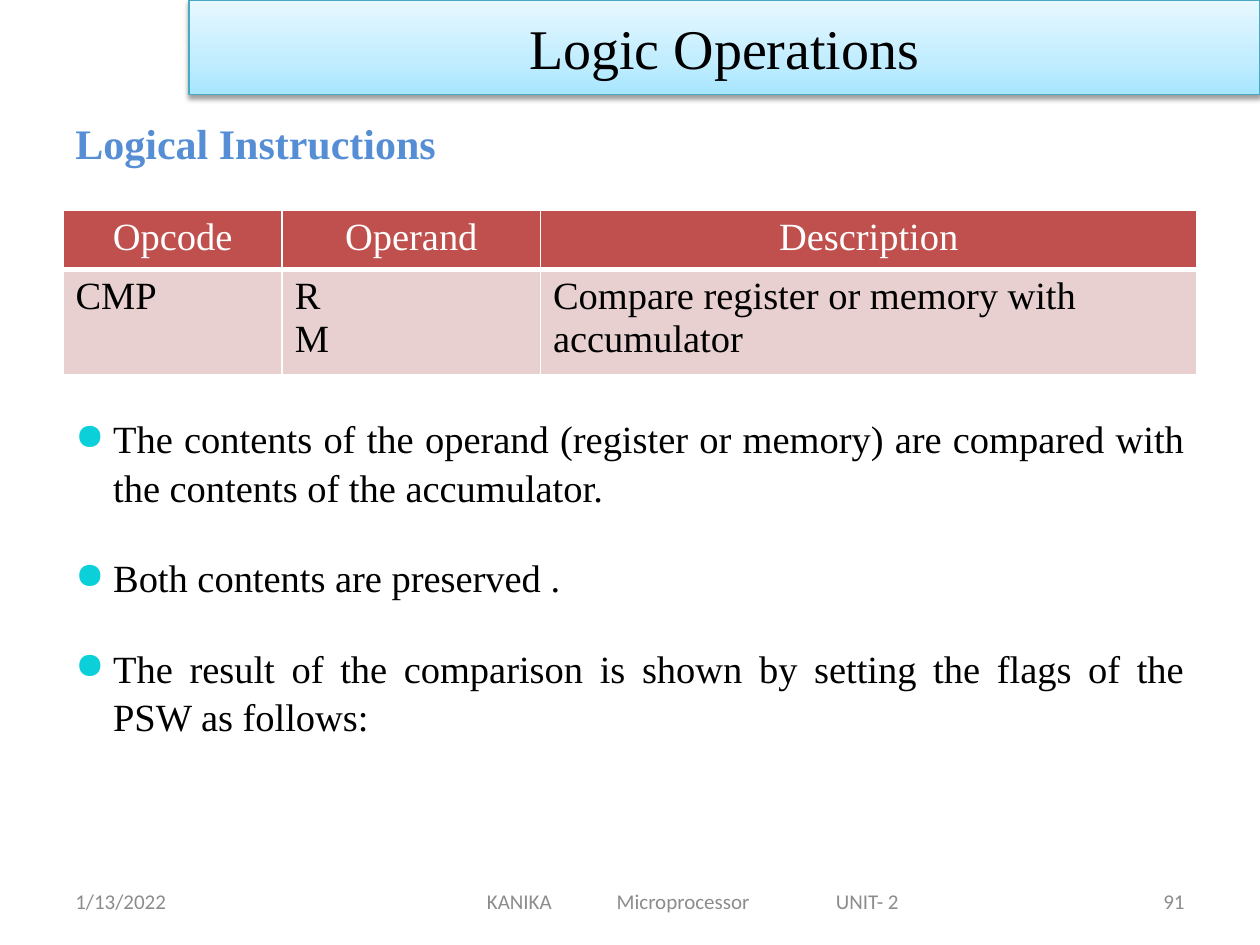
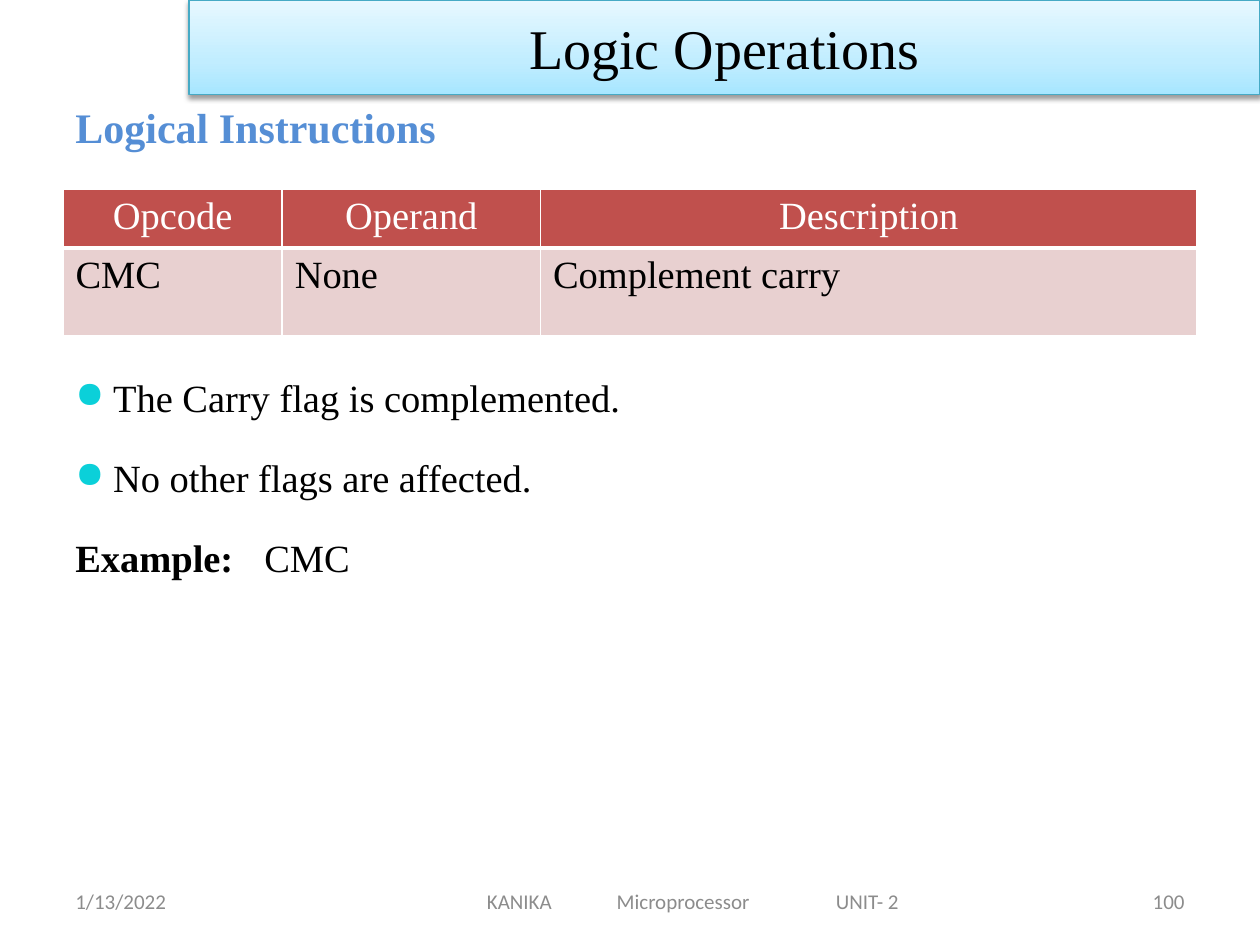
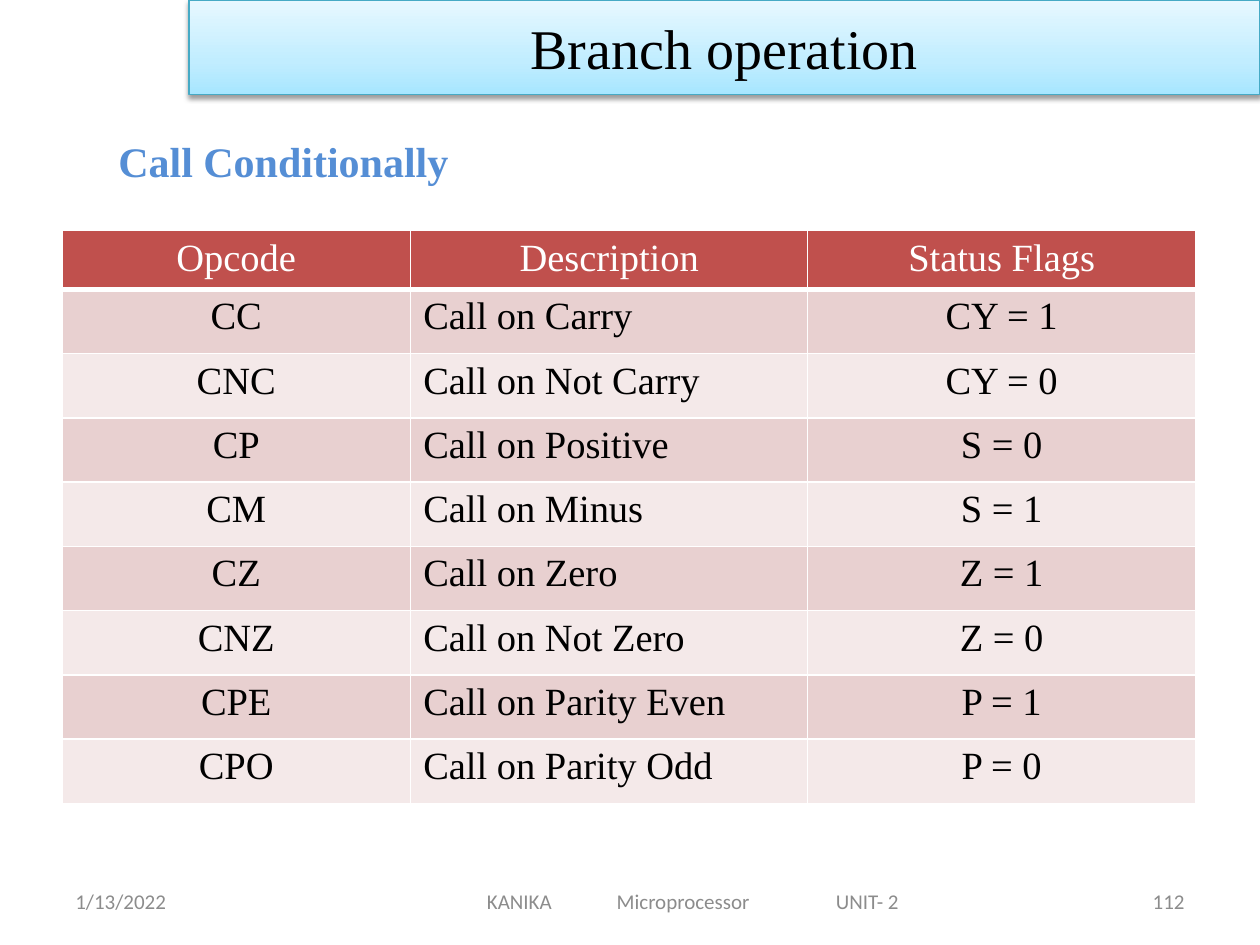
from pptx import Presentation
from pptx import util as u
from pptx.dml import color
from pptx.enum import shapes, text
from pptx.oxml import parse_xml
from pptx.oxml.ns import nsdecls, qn

COLORS = {
    "black": "000000", "white": "FFFFFF", "heading": "558ED5",
    "footer": "8C8C8C", "bullet": "0BD0D9", "band_line": "46AAC5",
    "band_bottom": "A7E6FF", "band_middle": "C1EDFF", "band_top": "E7F8FF",
    "header_row": "C0504D", "odd_row": "E8D0D0", "even_row": "F4E9E9",
}
SERIF, SANS = "Times New Roman", "Calibri"
LEFT, CENTER, RIGHT, JUSTIFY = (text.PP_ALIGN.LEFT, text.PP_ALIGN.CENTER,
                                text.PP_ALIGN.RIGHT, text.PP_ALIGN.JUSTIFY)

# The slide is a grid of 20 columns and 15 rows.
SLIDE_W, SLIDE_H = u.Inches(10), u.Inches(7.5)
COLUMN, ROW = SLIDE_W / 20, SLIDE_H / 15
CONTENT_LEFT, CONTENT_W = 1, 18

INSTRUCTION_HEADER = ["Opcode", "Operand", "Description"]
INSTRUCTION_COLUMNS = [3.48, 4.1, 10.42]
HEADER_ROW_H = 0.92


def rgb(name):
    return color.RGBColor.from_string(COLORS[name])


def grid(left, top, width, height):
    """Turn columns and rows of the grid into slide lengths."""
    return (round(left * COLUMN), round(top * ROW),
            round(width * COLUMN), round(height * ROW))


def write(paragraph, words, size=22, font=SERIF, ink="black", bold=False,
          align=LEFT):
    run = paragraph.add_run()
    run.text = words
    run.font.size, run.font.name, run.font.bold = u.Pt(size), font, bold
    run.font.color.rgb = rgb(ink)
    paragraph.alignment = align


def add_text(slide, box, words="", anchor=text.MSO_ANCHOR.TOP, **style):
    frame = slide.shapes.add_textbox(*grid(*box)).text_frame
    frame.word_wrap = True
    frame.vertical_anchor = anchor
    if words:
        write(frame.paragraphs[0], words, **style)
    return frame


def add_tab_stops(paragraph, columns):
    stops = "".join(f'<a:tab pos="{round(c * COLUMN)}" algn="l"/>' for c in columns)
    paragraph._p.get_or_add_pPr().append(
        parse_xml(f'<a:tabLst {nsdecls("a")}>{stops}</a:tabLst>'))


def add_bullet(paragraph):
    props = paragraph._p.get_or_add_pPr()
    indent = round(0.6 * COLUMN)
    props.set("marL", str(indent))
    props.set("indent", str(-indent))
    for tag in (f'<a:buClr {nsdecls("a")}><a:srgbClr val="{COLORS["bullet"]}"/></a:buClr>',
                f'<a:buSzPct {nsdecls("a")} val="95000"/>',
                f'<a:buChar {nsdecls("a")} char="●"/>'):
        props.append(parse_xml(tag))


def add_title_band(slide, box, title):
    band = slide.shapes.add_shape(shapes.MSO_SHAPE.RECTANGLE, *grid(*box))
    band.line.color.rgb, band.line.width = rgb("band_line"), u.Pt(0.75)
    band.fill.gradient()
    band.fill.gradient_angle = 90
    stops = band._element.spPr.find(".//" + qn("a:gsLst"))
    shades = [(0, "band_bottom"), (35, "band_middle"), (100, "band_top")]
    stops.getparent().replace(stops, parse_xml(
        f'<a:gsLst {nsdecls("a")}>' + "".join(
            f'<a:gs pos="{place * 1000}"><a:srgbClr val="{COLORS[shade]}"/></a:gs>'
            for place, shade in shades) + "</a:gsLst>"))
    band.shadow.inherit = False
    band._element.spPr.find(qn("a:effectLst")).append(parse_xml(
        f'<a:outerShdw {nsdecls("a")} blurRad="{u.Pt(3.1)}" dist="{u.Pt(1.6)}" '
        f'dir="5400000" rotWithShape="0"><a:srgbClr val="{COLORS["black"]}">'
        '<a:alpha val="38000"/></a:srgbClr></a:outerShdw>'))
    band.text_frame.vertical_anchor = text.MSO_ANCHOR.MIDDLE
    write(band.text_frame.paragraphs[0], title, size=32, align=CENTER)


def add_footer(slide, box, number):
    left, top, width, height = box
    style = dict(anchor=text.MSO_ANCHOR.MIDDLE, size=12, font=SANS, ink="footer")
    side = 4.66
    course = add_text(slide, (left + 4.5, top, 11, height),
                      "KANIKA\tMicroprocessor\tUNIT- 2", **style)
    course.margin_left = round(2.23 * COLUMN)
    add_tab_stops(course.paragraphs[0], [2.06, 5.54])
    add_text(slide, (left + width - side, top, side, height), number,
             align=RIGHT, **style)
    add_text(slide, (left, top, side, height), "1/13/2022", **style)


def add_heading(slide, box, words):
    frame = add_text(slide, box, words, size=24, ink="heading", bold=True)
    frame.word_wrap = False
    frame.auto_size = text.MSO_AUTO_SIZE.SHAPE_TO_FIT_TEXT


def paint_cell(cell, fill, bottom_width):
    cell.fill.solid()
    cell.fill.fore_color.rgb = rgb(fill)
    props = cell._tc.get_or_add_tcPr()
    for place, (side, width) in enumerate(
            [("L", 1), ("R", 1), ("T", 1), ("B", bottom_width)]):
        props.insert(place, parse_xml(
            f'<a:ln{side} {nsdecls("a")} w="{u.Pt(width)}"><a:solidFill>'
            f'<a:srgbClr val="{COLORS["white"]}"/></a:solidFill></a:ln{side}>'))


def add_opcode_table(slide, left, top, widths, row_height, rows, aligns):
    """Draw a header row and banded rows; a line break starts a paragraph."""
    height = HEADER_ROW_H + row_height * (len(rows) - 1)
    table = slide.shapes.add_table(
        len(rows), len(widths), *grid(left, top, sum(widths), height)).table
    for column, width in zip(table.columns, widths):
        column.width = round(width * COLUMN)
    for r, row in enumerate(rows):
        header = r == 0
        table.rows[r].height = round((HEADER_ROW_H if header else row_height) * ROW)
        fill = "header_row" if header else "odd_row" if r % 2 else "even_row"
        for c, words in enumerate(row):
            cell = table.cell(r, c)
            paint_cell(cell, fill, 3 if header else 1)
            for n, line in enumerate(words.split("\n")):
                frame = cell.text_frame
                paragraph = frame.add_paragraph() if n else frame.paragraphs[0]
                write(paragraph, line, ink="white" if header else "black",
                      align=CENTER if header else aligns[c])


def add_notes_list(slide, box, points, gap, align=LEFT, example=None):
    frame = add_text(slide, box)
    lines = points + ([example] if example else [])
    for n, line in enumerate(lines):
        paragraph = frame.add_paragraph() if n else frame.paragraphs[0]
        paragraph.space_after, paragraph.line_spacing = u.Pt(gap), 1.05
        if n < len(points):
            add_bullet(paragraph)
            write(paragraph, line, align=align)
        else:
            write(paragraph, "Example: ", bold=True)
            write(paragraph, "\t" + line)


def add_base_slide(deck, title, number):
    slide = deck.slides.add_slide(deck.slide_layouts[6])
    add_footer(slide, (CONTENT_LEFT, 13.9, CONTENT_W, 0.8), number)
    add_title_band(slide, (3, 0, 17, 1.5), title)
    return slide


def add_instruction_slide(deck, number, heading_top, table_top, row_height,
                          instruction, notes_top, **notes):
    slide = add_base_slide(deck, "Logic Operations", number)
    add_heading(slide, (CONTENT_LEFT, heading_top, 6.18, 1), "Logical Instructions")
    add_opcode_table(slide, CONTENT_LEFT, table_top, INSTRUCTION_COLUMNS, row_height,
                     [INSTRUCTION_HEADER, instruction], [LEFT] * 3)
    add_notes_list(slide, (CONTENT_LEFT, notes_top, CONTENT_W, 6.8), **notes)


def add_call_slide(deck, number):
    slide = add_base_slide(deck, "Branch operation", number)
    add_heading(slide, (1.68, 2.06, 5.7, 1.02), "Call Conditionally")
    calls = [("CC", "Carry", "CY = 1"), ("CNC", "Not Carry", "CY = 0"),
             ("CP", "Positive", "S = 0"), ("CM", "Minus", "S = 1"),
             ("CZ", "Zero", "Z = 1"), ("CNZ", "Not Zero", "Z = 0"),
             ("CPE", "Parity Even", "P = 1"), ("CPO", "Parity Odd", "P = 0")]
    rows = [["Opcode", "Description", "Status Flags"]]
    rows += [[opcode, f"Call on {condition}", flag] for opcode, condition, flag in calls]
    add_opcode_table(slide, 0.98, 3.66, [5.54, 6.3, 6.16], 1.02, rows,
                     [CENTER, LEFT, CENTER])


def main():
    deck = Presentation()
    deck.slide_width, deck.slide_height = SLIDE_W, SLIDE_H
    add_instruction_slide(
        deck, "91", 1.76, 3.34, 1.66,
        ["CMP", "R\nM", "Compare register or memory with accumulator"],
        6.46, gap=24, align=JUSTIFY, points=[
            "The contents of the operand (register or memory) are compared "
            "with the contents of the accumulator.",
            "Both contents are preserved .",
            "The result of the comparison is shown by setting the flags of "
            "the PSW as follows:"])
    add_instruction_slide(
        deck, "100", 1.52, 3, 1.4, ["CMC", "None", "Complement carry"],
        5.8, gap=18, example="CMC",
        points=["The Carry flag is complemented.", "No other flags are affected."])
    add_call_slide(deck, "112")
    deck.save("out.pptx")


if __name__ == "__main__":
    main()
